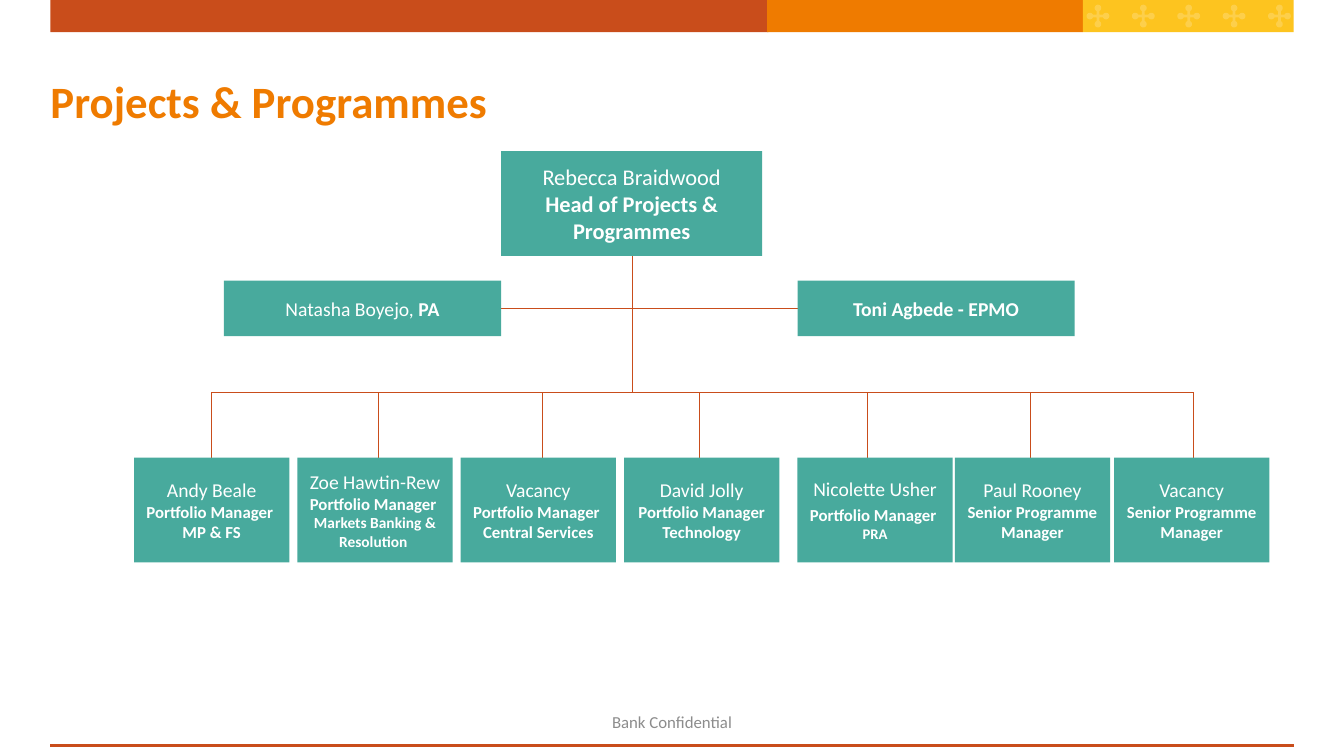
import math
from pptx import Presentation
from pptx.dml.color import RGBColor
from pptx.enum import shapes, text
from pptx.oxml import ns
from pptx.util import Inches, Pt
from lxml import etree

# Content: each card is a list of lines, each line a list of (text, size, bold)
TITLE = "Projects & Programmes"
FOOTER = "Bank Confidential"
HEAD = [[("Rebecca Braidwood", 16, False)],
        [("Head of Projects & Programmes", 16, True)]]
ASSISTANT = [[("Natasha Boyejo, ", 14, False), ("PA", 14, True)]]
OFFICE = [[("Toni Agbede - EPMO", 14, True)]]
# name, left of the card, centre of the drop line, gap after the name in points,
# roles with sizes
MANAGERS = [
    ("Andy Beale", 1.33, 2.1, 0, [("Portfolio Manager ", 12), ("MP & FS", 12)]),
    ("Zoe Hawtin-Rew", 2.95, 3.75, 0,
     [("Portfolio Manager ", 12), ("Markets Banking & Resolution ", 11)]),
    ("Vacancy", 4.57, 5.38, 0,
     [("Portfolio Manager ", 12), ("Central Services", 12)]),
    ("David Jolly", 6.19, 6.94, 0, [("Portfolio Manager Technology", 12)]),
    ("Nicolette Usher", 7.91, 8.6, 3,
     [("Portfolio Manager ", 12), ("PRA", 10.5)]),
    ("Paul Rooney", 9.47, 10.22, 0, [("Senior Programme Manager", 12)]),
    ("Vacancy", 11.05, 11.84, 0, [("Senior Programme Manager", 12)]),
]

FONT = "Calibri"
RUST = RGBColor(0xC9, 0x4D, 0x1B)
ORANGE = RGBColor(0xEF, 0x7B, 0x00)
YELLOW = RGBColor(0xFD, 0xC4, 0x1F)
TEAL = RGBColor(0x48, 0xAA, 0x9D)
GREY = RGBColor(0x8C, 0x8C, 0x8C)
WHITE = RGBColor(0xFF, 0xFF, 0xFF)

# Grid in inches
WIDTH, HEIGHT = 13.33, 7.5
MARGIN = 0.5
SPINE = 6.27
SIDE_ROW, BUS_ROW, CARD_ROW = 3.06, 3.89, 4.54
CARD_WIDTH, CARD_HEIGHT = 1.54, 1.04
SIDE_WIDTH, SIDE_HEIGHT = 2.75, 0.55
SIDE_LEFT, SIDE_RIGHT = 2.22, 7.91

deck = Presentation()
deck.slide_width, deck.slide_height = Inches(WIDTH), Inches(HEIGHT)
page = deck.slides.add_slide(deck.slide_layouts[5])


def paint(shape, colour):
    shape.shadow.inherit = False
    shape.fill.solid()
    shape.fill.fore_color.rgb = colour
    shape.line.fill.background()


def add_block(left, top, width, height, colour):
    block = page.shapes.add_shape(
        shapes.MSO_SHAPE.RECTANGLE, *map(Inches, (left, top, width, height)))
    paint(block, colour)
    return block


def add_line(x1, y1, x2, y2, weight=0.5):
    line = page.shapes.add_connector(
        shapes.MSO_CONNECTOR.STRAIGHT, *map(Inches, (x1, y1, x2, y2)))
    line.line.color.rgb = RUST
    line.line.width = Pt(weight)
    etree.SubElement(line._element.spPr, ns.qn("a:effectLst"))


def add_card(left, top, width, height, lines, gap=0):
    frame = add_block(left, top, width, height, TEAL).text_frame
    frame.word_wrap = True
    frame.vertical_anchor = text.MSO_ANCHOR.MIDDLE
    for row, spans in enumerate(lines):
        para = frame.add_paragraph() if row else frame.paragraphs[0]
        para.alignment = text.PP_ALIGN.CENTER
        if row == 1:
            para.space_before = Pt(gap)
        para.font.name = FONT
        para.font.color.rgb = WHITE
        for words, size, bold in spans:
            span = para.add_run()
            span.text = words
            span.font.size, span.font.bold = Pt(size), bold


def add_cross(x, y):
    """A cross of four stems, each ending in a round lobe."""
    stem, lobe, reach = 0.013, 0.033, 0.08
    opening = math.pi - math.asin(stem / lobe)
    arm = [(stem, -stem)]
    for step in range(17):
        angle = opening * (step / 8 - 1)
        arm.append((reach + lobe * math.cos(angle), lobe * math.sin(angle)))
    points = []
    for c, s in ((1, 0), (0, 1), (-1, 0), (0, -1)):
        points += [(Inches(x + a * c - b * s), Inches(y + a * s + b * c))
                   for a, b in arm]
    outline = page.shapes.build_freeform(*points[0])
    outline.add_line_segments(points[1:], close=True)
    cross = outline.convert_to_shape()
    paint(cross, WHITE)
    tint = cross._element.spPr.find(ns.qn("a:solidFill"))[0]
    etree.SubElement(tint, ns.qn("a:alpha"), val="20000")


# Banner and bottom rule
for left, width, colour in ((MARGIN, 7.12, RUST), (7.61, 3.13, ORANGE),
                            (10.74, 2.09, YELLOW)):
    add_block(left, 0, width, 0.32, colour)
for index in range(5):
    add_cross(10.89 + 0.45 * index, 0.16)
add_line(MARGIN, 7.4, WIDTH - MARGIN, 7.4, 2.25)

# Title and footer
title = page.shapes.title
title.left, title.top = Inches(MARGIN), Inches(0.5)
title.width, title.height = Inches(WIDTH - 1), Inches(1)
footer = page.shapes.add_textbox(
    Inches(WIDTH / 4), Inches(6.95), Inches(WIDTH / 2), Inches(0.42))
for box, words, size, colour, align in (
        (title, TITLE, 32, ORANGE, text.PP_ALIGN.LEFT),
        (footer, FOOTER, 12, GREY, text.PP_ALIGN.CENTER)):
    frame = box.text_frame
    frame.text = words
    frame.word_wrap = True
    frame.vertical_anchor = text.MSO_ANCHOR.MIDDLE
    frame.margin_left = frame.margin_right = 0
    frame.margin_top = frame.margin_bottom = 0
    para = frame.paragraphs[0]
    para.alignment = align
    para.font.name, para.font.size = FONT, Pt(size)
    para.font.bold = box is title
    para.font.color.rgb = colour

# Connecting lines
add_line(SPINE, 2.53, SPINE, BUS_ROW)
add_line(SIDE_LEFT + SIDE_WIDTH, SIDE_ROW, SPINE, SIDE_ROW)
add_line(SPINE, SIDE_ROW, SIDE_RIGHT, SIDE_ROW)
add_line(MANAGERS[0][2], BUS_ROW, MANAGERS[-1][2], BUS_ROW)

# Head, side posts and the row of managers
add_card(4.97, 1.5, 2.59, CARD_HEIGHT, HEAD)
for left, lines in ((SIDE_LEFT, ASSISTANT), (SIDE_RIGHT, OFFICE)):
    add_card(left, SIDE_ROW - SIDE_HEIGHT / 2, SIDE_WIDTH, SIDE_HEIGHT, lines)
for name, left, drop, gap, roles in MANAGERS:
    add_line(drop, BUS_ROW, drop, CARD_ROW)
    lines = [[(name, 14, False)]] + [[(role, size, True)] for role, size in roles]
    add_card(left, CARD_ROW, CARD_WIDTH, CARD_HEIGHT, lines, gap)

deck.save("out.pptx")
